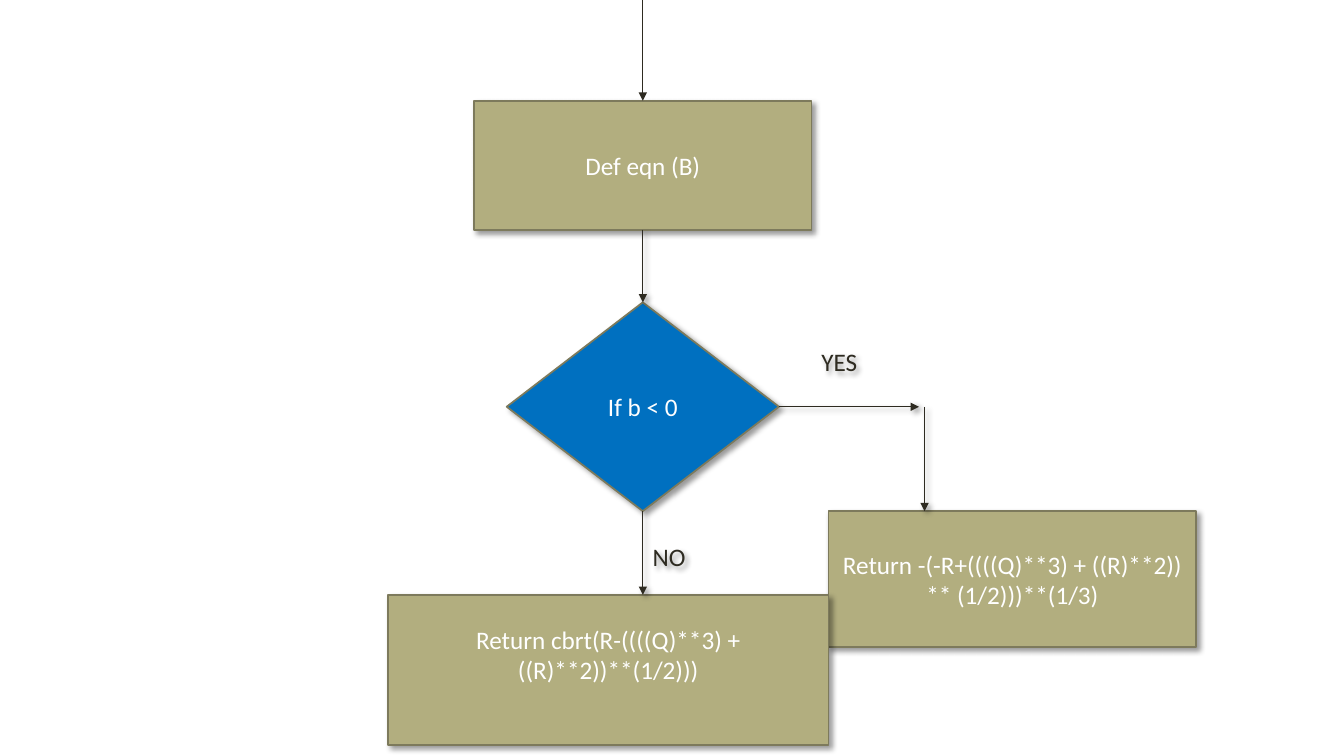
from lxml import etree
from pptx import Presentation
from pptx import util as u
from pptx.dml.color import RGBColor
from pptx.enum import shapes, text
from pptx.oxml import parse_xml
from pptx.oxml.ns import nsdecls, qn

INK = "2E2B21"
OLIVE = "B2AE7F"
BLUE = "0070C0"
SHADOW = (
    f'<a:effectLst {nsdecls("a")}>'
    '<a:outerShdw blurRad="50800" dist="38100" dir="2700000" algn="tl" rotWithShape="0">'
    '<a:srgbClr val="000000"><a:alpha val="40000"/></a:srgbClr>'
    '</a:outerShdw></a:effectLst>'
)


def color(value):
    return RGBColor.from_string(value)


def write(frame, wording, ink):
    run = frame.paragraphs[0].add_run()
    run.text = wording
    run.font.name = "Calibri"
    run.font.size = u.Pt(18)
    run.font.color.rgb = color(ink)


prs = Presentation()
prs.slide_width, prs.slide_height = u.Cm(33.87), u.Cm(19.05)
slide = prs.slides.add_slide(prs.slide_layouts[6])

axis = 16.2
rect = shapes.MSO_SHAPE.RECTANGLE
steps = [
    (rect, "Def eqn (B)", OLIVE, axis - 4.25, 2.54, 8.5, 3.25),
    (shapes.MSO_SHAPE.FLOWCHART_DECISION, "If b < 0", BLUE, axis - 3.43, 7.62, 6.86, 5.26),
    (rect, "Return -(-R+((((Q)**3) + ((R)**2)) ** (1/2)))**(1/3)", OLIVE, 20.88, 12.88, 9.27, 3.43),
    (rect, "Return cbrt(R-((((Q)**3) + ((R)**2))**(1/2)))", OLIVE, 9.78, 14.99, 11.1, 3.78),
]
nodes = []
for outline, wording, fill, left, top, width, height in steps:
    node = slide.shapes.add_shape(outline, u.Cm(left), u.Cm(top), u.Cm(width), u.Cm(height))
    node.fill.solid()
    node.fill.fore_color.rgb = color(fill)
    node.line.color.rgb = color("7D7A5C")
    node.line.width = u.Pt(1.25)
    node._element.spPr.append(parse_xml(SHADOW))
    frame = node.text_frame
    frame.word_wrap = True
    frame.vertical_anchor = text.MSO_ANCHOR.MIDDLE
    frame.paragraphs[0].alignment = text.PP_ALIGN.CENTER
    write(frame, wording, "FFFFFF")
    nodes.append(node)
definition, decision, negative_root, cube_root = nodes
cube_root.text_frame.margin_bottom = u.Cm(0.89)

branch = 23.3
arrows = [
    (axis, 0, axis, 2.54, None, (definition, 0), False),
    (axis, 5.79, axis, 7.62, (definition, 2), (decision, 0), True),
    (axis + 3.43, 10.25, 23.16, 10.25, (decision, 3), None, True),
    (branch, 10.25, branch, 12.88, None, None, True),
    (axis, 12.88, axis, 14.99, (decision, 2), None, True),
]
for x1, y1, x2, y2, source, target, shaded in arrows:
    arrow = slide.shapes.add_connector(
        shapes.MSO_CONNECTOR.STRAIGHT, u.Cm(x1), u.Cm(y1), u.Cm(x2), u.Cm(y2))
    if source:
        arrow.begin_connect(*source)
    if target:
        arrow.end_connect(*target)
    arrow.line.color.rgb = color(INK)
    arrow.line.width = u.Pt(0.75)
    etree.SubElement(arrow.line._get_or_add_ln(), qn("a:tailEnd"), type="triangle")
    effects = SHADOW if shaded else f'<a:effectLst {nsdecls("a")}/>'
    arrow._element.spPr.append(parse_xml(effects))

for answer, left, top, width in [("YES", 20.45, 8.61, 3.81), ("NO", axis, 13.51, 4.24)]:
    label = slide.shapes.add_textbox(u.Cm(left), u.Cm(top), u.Cm(width), u.Cm(1.02))
    label._element.spPr.append(parse_xml(SHADOW))
    label.text_frame.word_wrap = True
    label.text_frame.auto_size = text.MSO_AUTO_SIZE.SHAPE_TO_FIT_TEXT
    write(label.text_frame, answer, INK)

prs.save("out.pptx")
